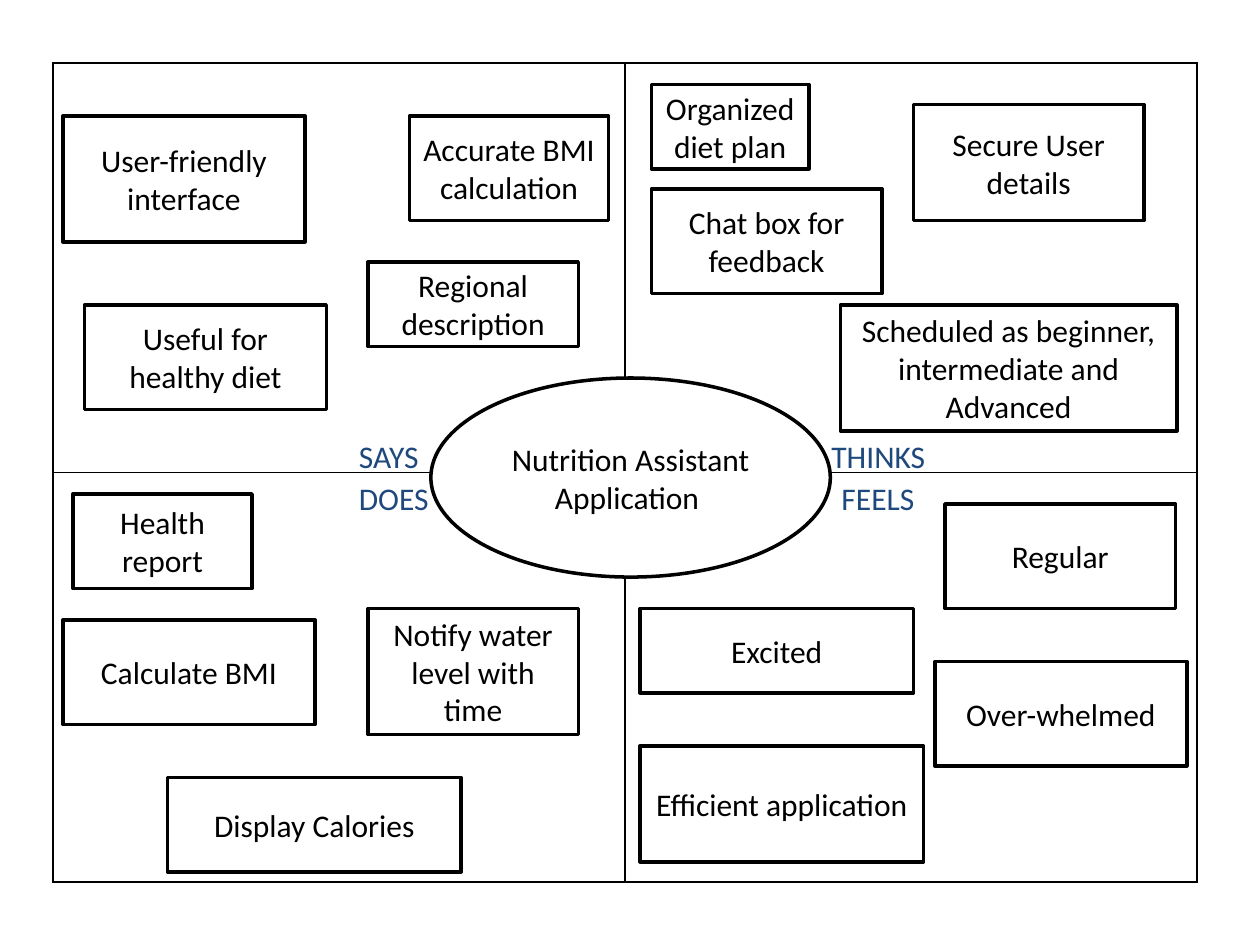
import pptx
import pptx.util
import pptx.dml.color
import pptx.enum.shapes
import pptx.enum.text
import pptx.oxml
from pptx.util import Inches

BLACK, WHITE, NAVY = "000000", "FFFFFF", "1F497D"
SHAPES = pptx.enum.shapes.MSO_SHAPE


def rgb(value):
    return pptx.dml.color.RGBColor.from_string(value)


def write(frame, text, color, align):
    frame.word_wrap = True
    paragraph = frame.paragraphs[0]
    paragraph.alignment = align
    run = paragraph.add_run()
    run.text = text
    run.font.name = "Calibri"
    run.font.size = pptx.util.Pt(18)
    run.font.color.rgb = rgb(color)


empathy_map = pptx.Presentation()
empathy_map.slide_width, empathy_map.slide_height = Inches(10), Inches(7.5)
slide = empathy_map.slides.add_slide(empathy_map.slide_layouts[6])

# Four quadrants
quadrants = slide.shapes.add_table(
    2, 2, Inches(0.42), Inches(0.5), Inches(9.08), Inches(6.5)).table
quadrants.first_row = quadrants.horz_banding = False
for row in quadrants.rows:
    row.height = Inches(3.25)
for cell in quadrants.iter_cells():
    properties = cell._tc.get_or_add_tcPr()
    for side in ("lnL", "lnR", "lnT", "lnB"):
        properties.append(pptx.oxml.parse_xml(
            f'<a:{side} xmlns:a="http://schemas.openxmlformats.org/drawingml/2006/main"'
            f' w="12700"><a:solidFill><a:srgbClr val="{BLACK}"/></a:solidFill></a:{side}>'))
    cell.fill.background()

# Central topic, then the notes of each quadrant
notes = [
    ("Nutrition Assistant Application ", 3.42, 3, 3.17, 1.58),
    # Says
    ("User-friendly interface", 0.5, 0.92, 1.92, 1),
    ("Useful for healthy diet", 0.67, 2.42, 1.92, 0.83),
    ("Accurate BMI calculation", 3.25, 0.92, 1.58, 0.83),
    ("Regional description", 2.92, 2.08, 1.67, 0.67),
    # Thinks
    ("Organized diet plan", 5.17, 0.67, 1.25, 0.67),
    ("Scheduled as beginner, intermediate and Advanced", 6.67, 2.42, 2.67, 1),
    ("Chat box for feedback", 5.17, 1.5, 1.83, 0.83),
    ("Secure User details", 7.25, 0.83, 1.83, 0.92),
    # Does
    ("Health report", 0.58, 3.92, 1.42, 0.75),
    ("Calculate BMI", 0.5, 4.92, 2, 0.83),
    ("Display Calories", 1.33, 6.17, 2.33, 0.75),
    ("Notify water level with time", 2.92, 4.83, 1.67, 1),
    # Feels
    ("Over-whelmed", 7.42, 5.25, 2, 0.83),
    ("Regular", 7.5, 4, 1.83, 0.83),
    ("Excited", 5.08, 4.83, 2.17, 0.67),
    ("Efficient application", 5.08, 5.92, 2.25, 0.92),
]
for index, (text, *box) in enumerate(notes):
    outline = SHAPES.RECTANGLE if index else SHAPES.OVAL
    note = slide.shapes.add_shape(outline, *map(Inches, box))
    note.shadow.inherit = False
    note.fill.solid()
    note.fill.fore_color.rgb = rgb(WHITE)
    note.line.color.rgb = rgb(BLACK)
    note.line.width = pptx.util.Pt(2)
    note.text_frame.vertical_anchor = pptx.enum.text.MSO_ANCHOR.MIDDLE
    write(note.text_frame, text, BLACK, pptx.enum.text.PP_ALIGN.CENTER)

# Quadrant headings
headings = [
    ("SAYS", 2.75, 3.42, 1),
    ("THINKS", 6.5, 3.42, 1.75),
    ("DOES", 2.75, 3.75, 1),
    ("FEELS", 6.58, 3.75, 0.92),
]
for text, left, top, width in headings:
    heading = slide.shapes.add_textbox(
        Inches(left), Inches(top), Inches(width), Inches(0.4))
    heading.text_frame.auto_size = pptx.enum.text.MSO_AUTO_SIZE.SHAPE_TO_FIT_TEXT
    write(heading.text_frame, text, NAVY, pptx.enum.text.PP_ALIGN.LEFT)

empathy_map.save("out.pptx")
